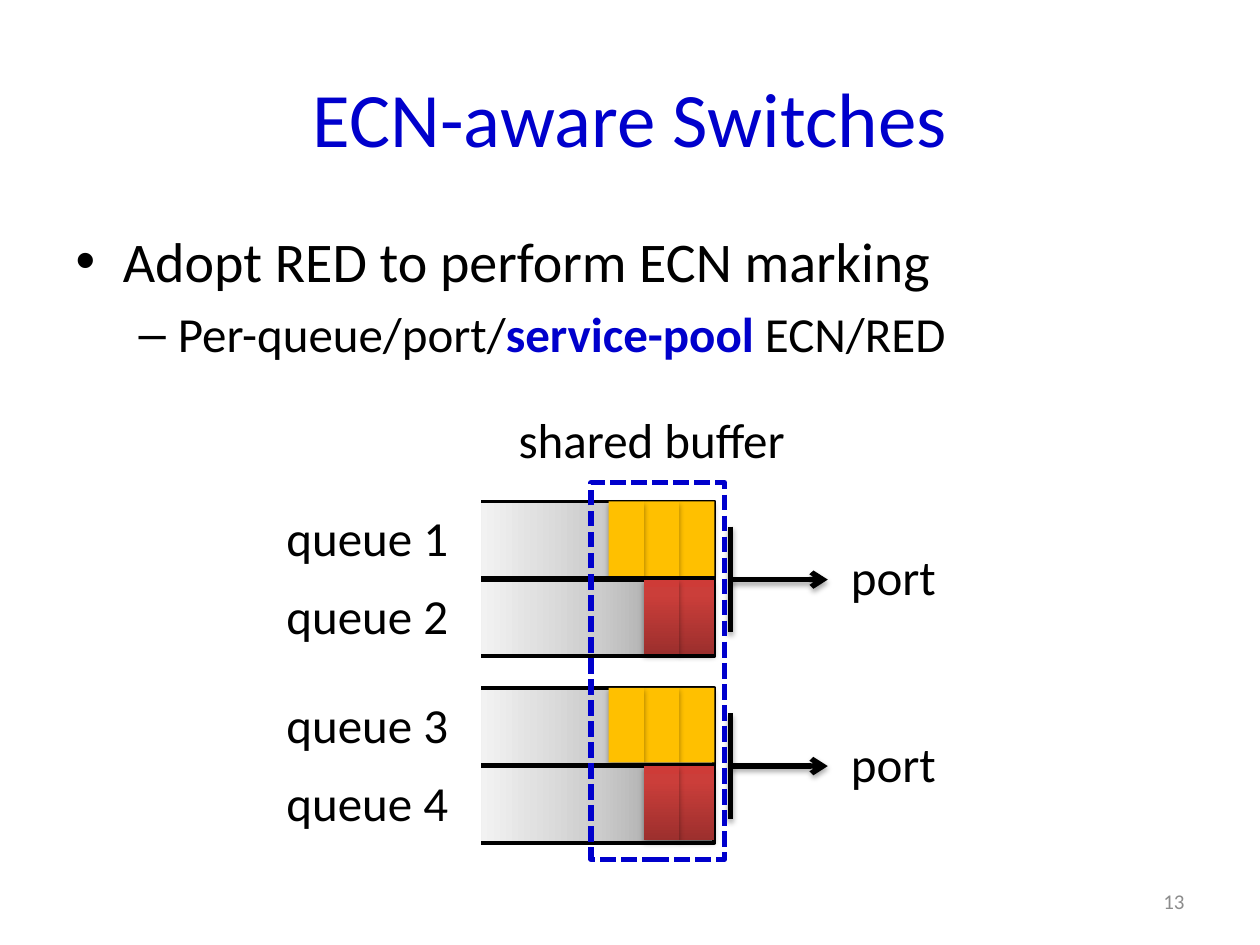
from lxml import etree
from pptx import Presentation
from pptx.dml.color import RGBColor
from pptx.enum.dml import MSO_LINE
from pptx.enum.shapes import MSO_CONNECTOR, MSO_SHAPE
from pptx.enum.text import MSO_ANCHOR, PP_ALIGN
from pptx.oxml import parse_xml
from pptx.oxml.ns import qn
from pptx.util import Inches, Pt

LINE = MSO_CONNECTOR.STRAIGHT
RECT = MSO_SHAPE.RECTANGLE
DASH = MSO_LINE.SQUARE_DOT
MIDDLE = MSO_ANCHOR.MIDDLE
CENTER, RIGHT = PP_ALIGN.CENTER, PP_ALIGN.RIGHT

FONT = "Calibri"
BLACK, BLUE, GRAY, GOLD = "000000", "0000CC", "8C8C8C", "FFC000"
SILVER = [(0, "909090"), (50, "CCCCCC"), (100, "F2F2F2")]
RED = [(0, "9C2F2D"), (80, "CB3E3A"), (100, "CE3B37")]
NS = 'xmlns:a="http://schemas.openxmlformats.org/drawingml/2006/main"'


def color(code):
    return RGBColor.from_string(code)


def style(par, size, code=BLACK, align=None):
    par.alignment = align
    for run in par.runs:
        run.font.name, run.font.size = FONT, Pt(size)
        run.font.color.rgb = color(code)


def place(shape, box):
    shape.left, shape.top, shape.width, shape.height = map(Inches, box)


def stroke(shape, width, code=BLACK):
    shape.line.color.rgb = color(code)
    shape.line.width = Pt(width)


def blend(shape, stops, angle):
    """Fill the shape with a linear gradient."""
    marks = "".join(f'<a:gs pos="{pos * 1000}"><a:srgbClr val="{code}"/></a:gs>'
                    for pos, code in stops)
    shape.fill.background()
    props = shape._element.spPr
    props.replace(props.find(qn("a:noFill")), parse_xml(
        f'<a:gradFill {NS} rotWithShape="1"><a:gsLst>{marks}</a:gsLst>'
        f'<a:lin ang="{angle * 60000}" scaled="0"/></a:gradFill>'))


def shade(shape):
    """Give the shape a soft shadow straight below it."""
    shape._element.spPr.append(parse_xml(
        f'<a:effectLst {NS}><a:outerShdw blurRad="{Pt(3.1)}" dist="{Pt(1.8)}" '
        'dir="5400000" rotWithShape="0"><a:srgbClr val="000000">'
        '<a:alpha val="35000"/></a:srgbClr></a:outerShdw></a:effectLst>'))


def label(slide, box, text, size=28, code=BLACK, align=CENTER):
    area = slide.shapes.add_textbox(*map(Inches, box))
    frame = area.text_frame
    frame.word_wrap = True
    frame.text = text
    style(frame.paragraphs[0], size, code, align)
    return frame


def wire(slide, start, end, arrow=False):
    line = slide.shapes.add_connector(LINE, *map(Inches, start + end))
    stroke(line, 3)
    if arrow:
        etree.SubElement(line.line._get_or_add_ln(), qn("a:tailEnd"), type="arrow")
    shade(line)


def queue(slide, box, name, count, paint):
    """A queue open on the left, with packets stacked from its right end."""
    left, top, width, height = box
    right, base = left + width, top + height
    pen = slide.shapes.build_freeform(Inches(left), Inches(top), scale=1.0)
    ends = [(right, top), (right, base), (left, base)]
    pen.add_line_segments([(Inches(x), Inches(y)) for x, y in ends], close=False)
    track = pen.convert_to_shape()
    blend(track, SILVER, 180)
    stroke(track, 2.25)
    track.shadow.inherit = False

    # Packets
    size = 0.28
    for i in range(1, count + 1):
        pack = slide.shapes.add_shape(
            RECT, *map(Inches, (right - i * size, top, size, 0.59)))
        if paint == RED:
            blend(pack, paint, 270)
        else:
            pack.fill.solid()
            pack.fill.fore_color.rgb = color(paint)
        pack.line.fill.background()
        shade(pack)

    label(slide, (left - 1.81, top, 1.81, 0.57), name)


def port(slide, box, first):
    """Two queues that feed one outgoing port."""
    left, top, width, height = box
    row = height / 2
    for i, (count, paint) in enumerate([(3, GOLD), (2, RED)]):
        queue(slide, (left, top + i * row, width, row - 0.01),
              f"queue {first + i}", count, paint)

    # Outlet and arrow
    x, mid = left + width + 0.13, top + row
    wire(slide, (x, mid - 0.42), (x, mid + 0.42))
    wire(slide, (x, mid), (x + 0.77, mid), arrow=True)
    label(slide, (x + 0.62, mid - 0.31, 1.34, 0.57), "port")


def pool(slide, box):
    """The dashed frame of the shared buffer and its caption."""
    frame = slide.shapes.add_shape(RECT, *map(Inches, box))
    frame.fill.background()
    stroke(frame, 3, BLUE)
    frame.line.dash_style = DASH
    frame.shadow.inherit = False
    mid = box[0] + box[2] / 2
    label(slide, (mid - 1.5, box[1] - 0.63, 2.99, 0.57), "shared buffer ")


def head(slide, box):
    title = slide.shapes.title
    place(title, box)
    title.text_frame.text = "ECN-aware Switches"
    title.text_frame.vertical_anchor = MIDDLE
    style(title.text_frame.paragraphs[0], 44, BLUE, CENTER)


def points(slide, box):
    body = slide.placeholders[1]
    place(body, box)
    frame = body.text_frame
    frame.text = "Adopt RED to perform ECN marking"
    style(frame.paragraphs[0], 32)
    sub = frame.add_paragraph()
    sub.level = 1
    for text in ("Per-queue/port/", "service-pool ", "ECN/RED"):
        sub.add_run().text = text
    style(sub, 28)
    key = sub.runs[1].font
    key.bold = True
    key.color.rgb = color(BLUE)


def main():
    deck = Presentation()
    deck.slide_width, deck.slide_height = Inches(10), Inches(7.5)
    slide = deck.slides.add_slide(deck.slide_layouts[1])
    head(slide, (0.5, 0.3, 9, 1.25))
    points(slide, (0.5, 1.75, 9, 4.95))
    for i in range(2):
        port(slide, (3.82, 3.98 + i * 1.48, 1.85, 1.24), 2 * i + 1)
    pool(slide, (4.69, 3.83, 1.06, 2.99))
    page = label(slide, (7.17, 6.95, 2.33, 0.4), "13", 12, GRAY, RIGHT)
    page.vertical_anchor = MIDDLE
    deck.save("out.pptx")


if __name__ == "__main__":
    main()
